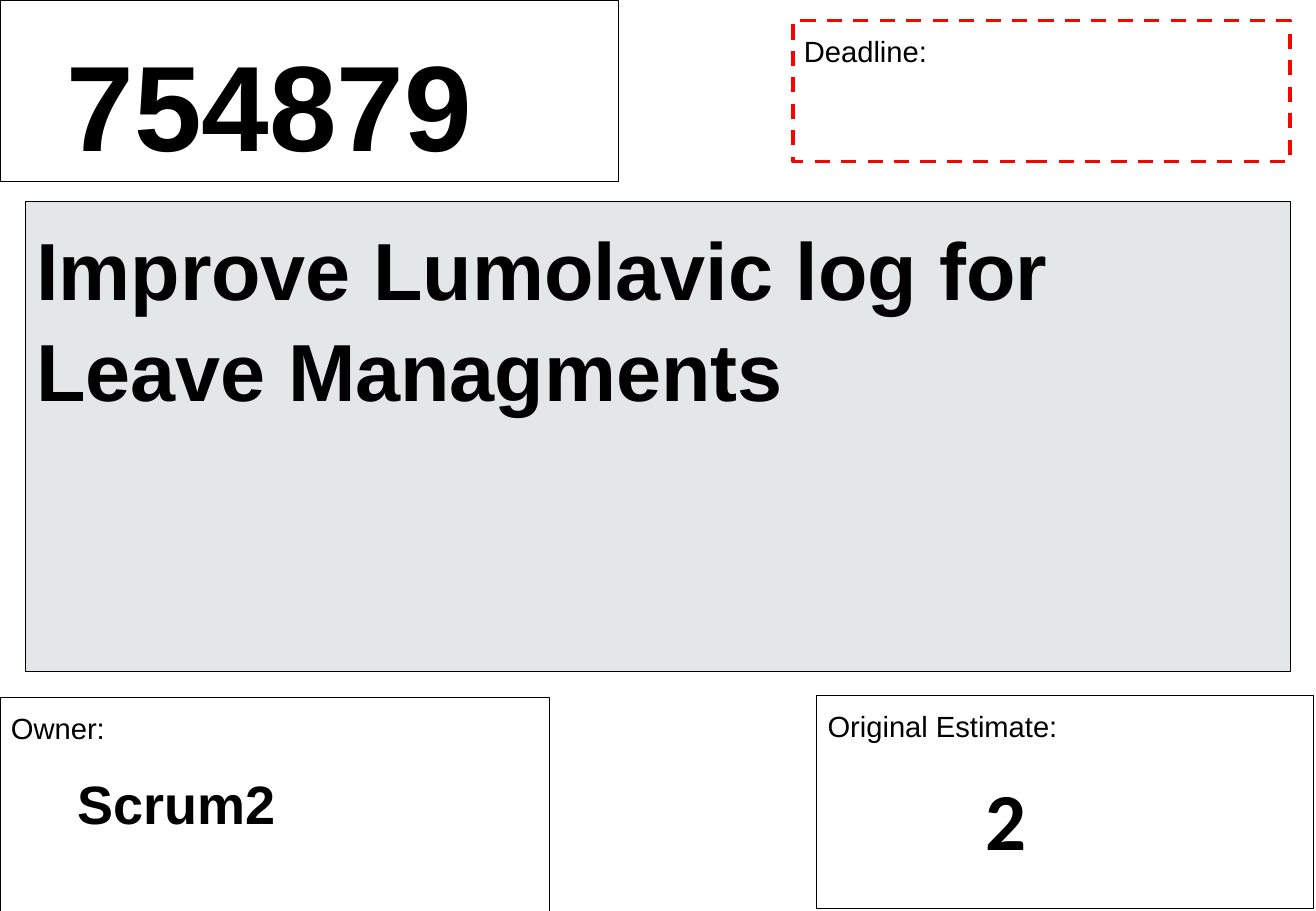
from dataclasses import dataclass

from pptx import Presentation
from pptx.dml.color import RGBColor
from pptx.enum.dml import MSO_LINE_DASH_STYLE as Dash
from pptx.enum.shapes import MSO_SHAPE as Shape
from pptx.enum.text import MSO_ANCHOR as Anchor, PP_ALIGN as Align
from pptx.slide import Slide
from pptx.util import Pt

BLACK = RGBColor(0x00, 0x00, 0x00)
WHITE = RGBColor(0xFF, 0xFF, 0xFF)
RED = RGBColor(0xFF, 0x00, 0x00)
GREY = RGBColor(0xE4, 0xE7, 0xE7)


def write(frame, text, size=17.3, font="Arial", color=BLACK, bold=False,
          align=Align.LEFT, anchor=Anchor.TOP, left=6.5, top=6.5, after=0):
    """Fill a text frame with one formatted paragraph."""
    frame.word_wrap = True
    frame.vertical_anchor = anchor
    frame.margin_left, frame.margin_top = Pt(left), Pt(top)
    frame.margin_right = frame.margin_bottom = Pt(6.5)
    paragraph = frame.paragraphs[0]
    paragraph.alignment = align
    paragraph.line_spacing = 1.04
    paragraph.space_after = Pt(after)
    run = paragraph.add_run()
    run.text = text
    run.font.name, run.font.size, run.font.bold = font, Pt(size), bold
    run.font.color.rgb = color


@dataclass
class Card:
    slide: Slide
    line_color: RGBColor = BLACK
    line_width: float = 0.5
    label_after: float = 3.2

    def box(self, area, text=None, fill=None, line=None, width=None,
            dash=None, **style):
        """Outlined rectangle, with an optional label at its top left."""
        frame = self.slide.shapes.add_shape(Shape.RECTANGLE, *map(Pt, area))
        frame.shadow.inherit = False
        if fill is None:
            frame.fill.background()
        else:
            frame.fill.solid()
            frame.fill.fore_color.rgb = fill
        frame.line.color.rgb = line or self.line_color
        frame.line.width = Pt(width or self.line_width)
        if dash:
            frame.line.dash_style = dash
        if text:
            write(frame.text_frame, text, after=self.label_after, **style)

    def value(self, area, text, **style):
        """Bold text without an outline."""
        label = self.slide.shapes.add_textbox(*map(Pt, area))
        write(label.text_frame, text, bold=True, **style)


deck = Presentation()
deck.slide_width, deck.slide_height = Pt(780), Pt(540)
card = Card(deck.slides.add_slide(deck.slide_layouts[6]))

# Frames and their labels
card.box((0, 0, 366.5, 107.5))
card.box((15, 119.5, 750, 278.5), "Improve Lumolavic log for Leave Managments",
         fill=GREY, size=48, bold=True, top=8.5)
card.box((0, 413.5, 325.5, 126.5), "Owner:")
card.box((484, 412.5, 294.5, 126), "Original Estimate:")
card.box((470, 12.25, 294.5, 83.5), "Deadline:",
         fill=WHITE, line=RED, width=2.25, dash=Dash.DASH)

# Values: estimate, owner and ticket number
card.value((503.5, 453.5, 185.5, 61), "2", size=48, font="Calibri",
           align=Align.CENTER, anchor=Anchor.MIDDLE)
card.value((39.5, 447, 260, 85), "Scrum2", size=32, top=8)
card.value((0, 6.5, 325.5, 96), "754879", size=72, left=39.5, top=8)

deck.save("out.pptx")
